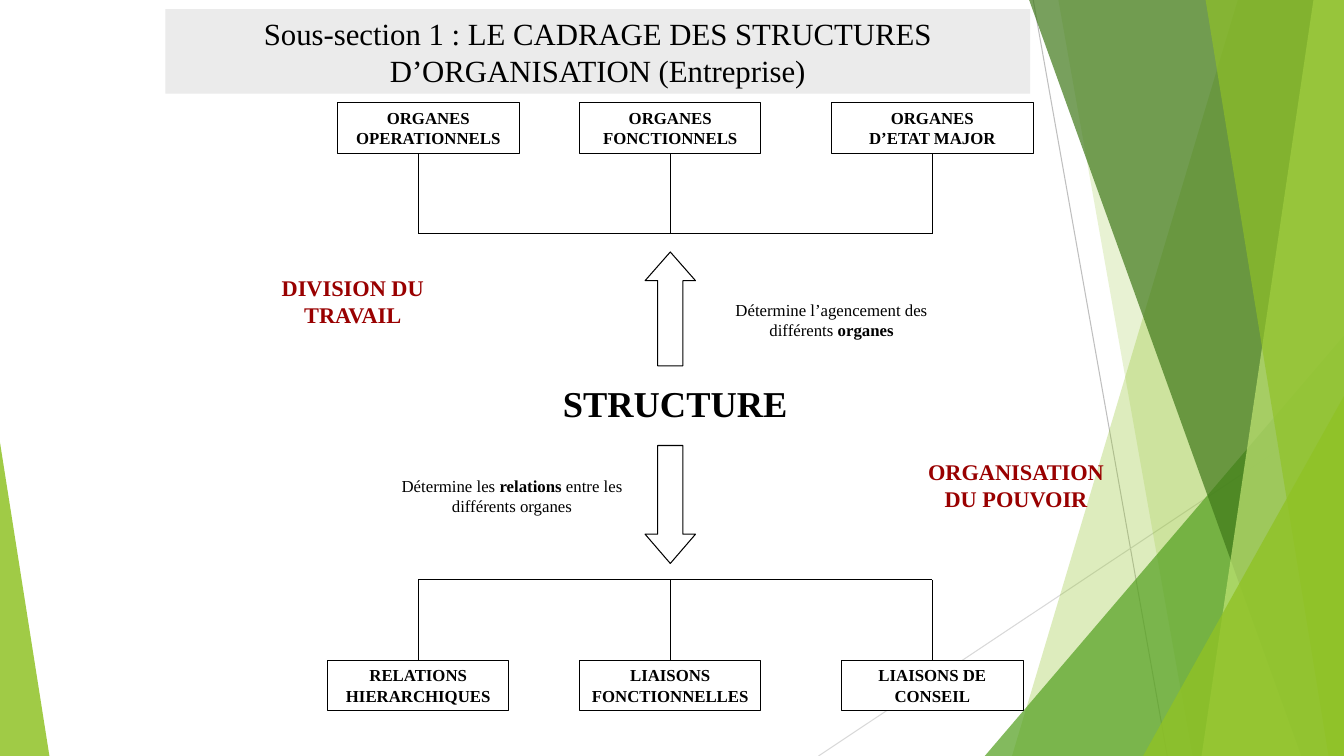
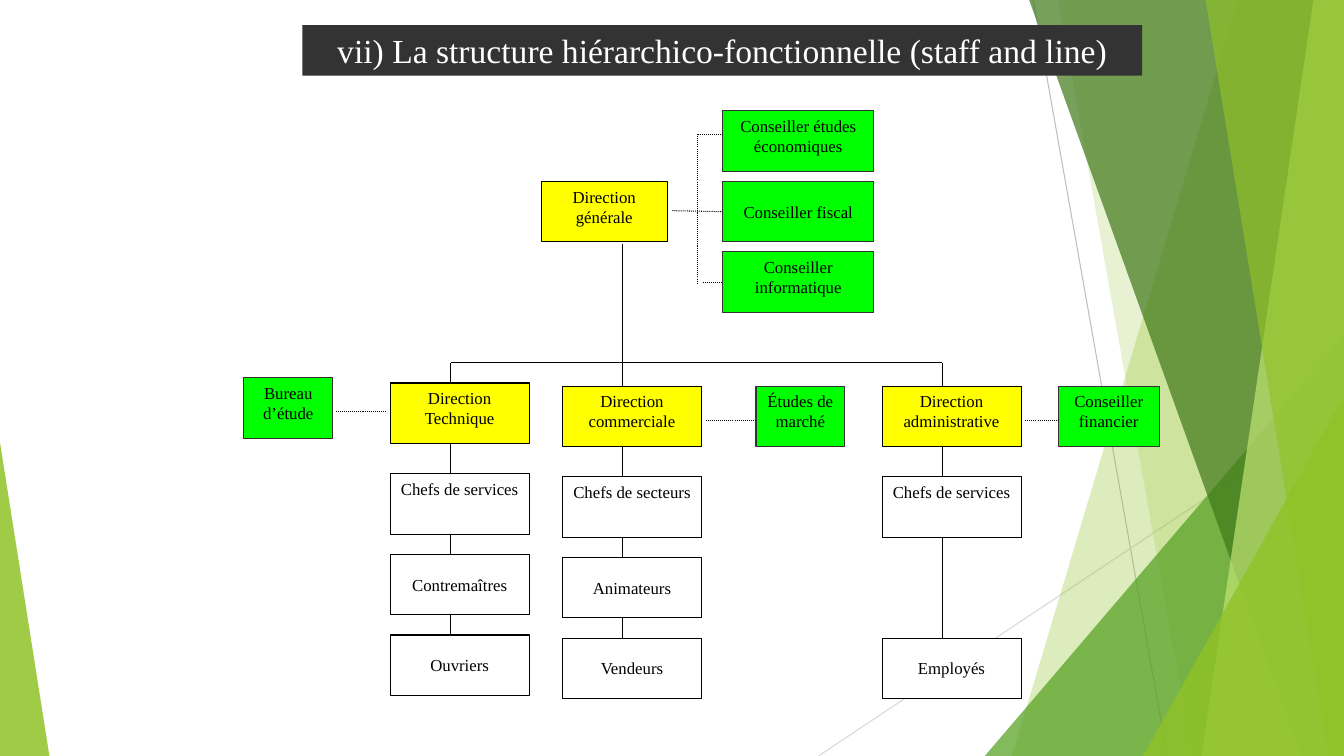
"""Two slides on organisation structures, laid out on a grid of tenth-of-an-inch cells."""
import itertools

import lxml.etree
import pptx
import pptx.dml.color
import pptx.enum.dml
import pptx.enum.shapes
import pptx.enum.text
import pptx.oxml.ns
import pptx.util

RGBColor = pptx.dml.color.RGBColor
Shapes = pptx.enum.shapes.MSO_SHAPE
Anchor = pptx.enum.text.MSO_ANCHOR

BLACK = RGBColor(0x00, 0x00, 0x00)
WHITE = RGBColor(0xFF, 0xFF, 0xFF)
CHARCOAL = RGBColor(0x33, 0x33, 0x33)
PALE_GREY = RGBColor(0xEB, 0xEB, 0xEB)
LINE_GREY = RGBColor(0xBF, 0xBF, 0xBF)
LIGHT_LINE_GREY = RGBColor(0xD9, 0xD9, 0xD9)
DARK_RED = RGBColor(0x99, 0x00, 0x00)
YELLOW = RGBColor(0xFF, 0xFF, 0x00)
BRIGHT_GREEN = RGBColor(0x00, 0xFF, 0x00)
LIME = RGBColor(0x90, 0xC2, 0x26)
LEAF = RGBColor(0x54, 0xA0, 0x21)
FOREST = RGBColor(0x3F, 0x78, 0x19)
PALE_LIME = RGBColor(0xC0, 0xE4, 0x74)

FONT = "Times New Roman"
CELL = pptx.util.Inches(0.1)
COLUMNS, ROWS = 133.33, 75
THIN = pptx.util.Pt(0.75)
JOIN_TOLERANCE = 0.2 * CELL
DOTTED = pptx.enum.dml.MSO_LINE.ROUND_DOT
LEVELS = (0, 9, 17, 25)
BOX_HEIGHT = 6
DEPARTMENT_WIDTH = 13.8
SPINE_OFFSET = 6
TRUNK_ROW = 36


def cells(*values):
    """Turn grid positions into lengths."""
    return [round(value * CELL) for value in values]


def paint(shape, fill, line=None, opacity=100):
    """Give a shape its fill, opacity and outline, without shadow."""
    shape.shadow.inherit = False
    shape.fill.solid()
    shape.fill.fore_color.rgb = fill
    if opacity < 100:
        color = shape.element.spPr.find(".//" + pptx.oxml.ns.qn("a:srgbClr"))
        alpha = lxml.etree.SubElement(color, pptx.oxml.ns.qn("a:alpha"))
        alpha.set("val", str(opacity * 1000))
    if line is None:
        shape.line.fill.background()
    else:
        shape.line.color.rgb = line
        shape.line.width = THIN


def format_text(shape, size, color=BLACK, bold=None, anchor=Anchor.TOP):
    """Centre and style all the text of a shape."""
    frame = shape.text_frame
    frame.word_wrap = True
    frame.auto_size = pptx.enum.text.MSO_AUTO_SIZE.NONE
    frame.vertical_anchor = anchor
    for paragraph in frame.paragraphs:
        paragraph.alignment = pptx.enum.text.PP_ALIGN.CENTER
        for run in paragraph.runs:
            run.font.name = FONT
            run.font.size = pptx.util.Pt(size)
            run.font.color.rgb = color
            if bold is not None:
                run.font.bold = bold


def add_box(slide, area, text, fill=WHITE, line=BLACK, size=12, bold=False, anchor=Anchor.TOP):
    """Add a rectangle with centred text."""
    box = slide.shapes.add_shape(Shapes.RECTANGLE, *cells(*area))
    paint(box, fill, line)
    box.text_frame.text = text
    format_text(box, size, bold=bold, anchor=anchor)


def add_label(slide, area, text):
    """Add a large red label."""
    label = slide.shapes.add_textbox(*cells(*area))
    label.text_frame.text = text
    format_text(label, 16, DARK_RED, True)


def add_caption(slide, area, parts):
    """Add a caption in which every second part is bold."""
    caption = slide.shapes.add_textbox(*cells(*area))
    for part, bold in zip(parts, itertools.cycle((False, True))):
        run = caption.text_frame.paragraphs[0].add_run()
        run.text = part
        run.font.bold = bold
    format_text(caption, 12)


def add_arrow(slide, kind, top, height, head):
    """Add a block arrow on the central axis."""
    arrow = slide.shapes.add_shape(kind, *cells(64, top, 5, height))
    arrow.adjustments[1] = head
    paint(arrow, WHITE, BLACK)


def side_middles(shape):
    """List the middles of a rectangle's sides in connection order."""
    center, middle = shape.left + shape.width / 2, shape.top + shape.height / 2
    return ((center, shape.top), (shape.left, middle),
            (center, shape.top + shape.height), (shape.left + shape.width, middle))


def join_ends(slide, connector):
    """Join the ends that lie at the middle of a rectangle's side."""
    ends = ((connector.begin_x, connector.begin_y, connector.begin_connect),
            (connector.end_x, connector.end_y, connector.end_connect))
    for shape in slide.shapes:
        if shape.shape_type != pptx.enum.shapes.MSO_SHAPE_TYPE.AUTO_SHAPE:
            continue
        for site, (site_x, site_y) in enumerate(side_middles(shape)):
            for x, y, connect in ends:
                if max(abs(x - site_x), abs(y - site_y)) < JOIN_TOLERANCE:
                    connect(shape, site)


def add_line(slide, start, end, color=BLACK, dash=None):
    """Add a thin straight connector between two grid points."""
    connector = slide.shapes.add_connector(
        pptx.enum.shapes.MSO_CONNECTOR.STRAIGHT, *cells(*start, *end))
    connector.line.color.rgb = color
    connector.line.width = THIN
    if dash is not None:
        connector.line.dash_style = dash
    lxml.etree.SubElement(connector.element.spPr, pptx.oxml.ns.qn("a:effectLst"))
    join_ends(slide, connector)


def add_band(slide, top_column, bottom_column, color, opacity):
    """Add a slanted band that reaches the right edge."""
    corners = [cells(*corner) for corner in (
        (top_column, 0), (COLUMNS, 0), (COLUMNS, ROWS), (bottom_column, ROWS))]
    builder = slide.shapes.build_freeform(*corners[0], scale=1.0)
    builder.add_line_segments(corners[1:], close=True)
    paint(builder.convert_to_shape(), color, opacity=opacity)


def add_corner(slide, left, right, top, apex, color, opacity):
    """Add a triangle that stands on the bottom edge."""
    area = cells(left, top, right - left, ROWS - top)
    corner = slide.shapes.add_shape(Shapes.ISOSCELES_TRIANGLE, *area)
    corner.adjustments[0] = apex
    paint(corner, color, opacity=opacity)


def add_backdrop(slide):
    """Draw the shared decoration and move it to the slide's layout."""
    layout = slide.slide_layout
    for placeholder in list(layout.placeholders):
        if placeholder.placeholder_format.type != pptx.enum.shapes.PP_PLACEHOLDER.TITLE:
            layout.shapes.element.remove(placeholder.element)
    add_line(slide, (102.5, 0), (115.8, ROWS), LINE_GREY)
    add_line(slide, (COLUMNS, 40.3), (81.2, ROWS), LIGHT_LINE_GREY)
    add_band(slide, 122.8, 100.4, LIME, 30)
    add_band(slide, 105, 118.3, LIME, 20)
    add_corner(slide, 97.7, COLUMNS, 33.3, 1, LEAF, 72)
    add_band(slide, 102.1, 129.1, FOREST, 70)
    add_band(slide, 130.3, 119.2, PALE_LIME, 70)
    add_band(slide, 119.6, 131.8, LIME, 65)
    add_corner(slide, 113.4, COLUMNS, 39.3, 1, LIME, 80)
    add_corner(slide, 0, 4.9, 43.9, 0, LIME, 85)
    for shape in list(slide.shapes):
        if not shape.is_placeholder:
            layout.shapes.element.append(shape.element)


def set_title(slide, area, text, size, fill, color):
    """Turn the title placeholder into a filled band."""
    title = slide.shapes.title
    title.left, title.top, title.width, title.height = cells(*area)
    title.fill.solid()
    title.fill.fore_color.rgb = fill
    title.text_frame.text = text
    format_text(title, size, color, anchor=Anchor.MIDDLE)


def add_fork(slide, trunk_row, box_row):
    """Link three boxes to a horizontal trunk."""
    branches = (41.5, 66.5, 92.5)
    for column in branches:
        add_line(slide, (column, trunk_row), (column, box_row))
    add_line(slide, (branches[0], trunk_row), (branches[-1], trunk_row))


def build_framework(slide):
    """Build the slide on the framework of structures."""
    set_title(slide, (16.4, 0.9, 85.8, 8.4),
              "Sous-section 1 : LE CADRAGE DES STRUCTURES D’ORGANISATION (Entreprise)",
              22, PALE_GREY, BLACK)
    for left, top, width, text in (
            (33.5, 10.2, 18, "ORGANES\nOPERATIONNELS"),
            (57.5, 10.2, 18, "ORGANES\nFONCTIONNELS"),
            (82.5, 10.2, 20, "ORGANES\nD’ETAT MAJOR"),
            (32.5, 65.5, 18, "RELATIONS HIERARCHIQUES"),
            (57.5, 65.5, 18, "LIAISONS FONCTIONNELLES"),
            (83.5, 65.5, 18, "LIAISONS DE\nCONSEIL")):
        add_box(slide, (left, top, width, 5), text, bold=True)
    add_box(slide, (54, 37.3, 26, 6), "STRUCTURE", line=None, size=26, bold=True)
    add_fork(slide, 23.2, 15.2)
    add_fork(slide, 57.5, 65.5)
    add_arrow(slide, Shapes.UP_ARROW, 25, 11.3, 0.57)
    add_arrow(slide, Shapes.DOWN_ARROW, 44.2, 11.7, 0.58)
    add_caption(slide, (38.3, 46.7, 25, 5),
                ("Détermine les ", "relations", " entre les différents organes"))
    add_caption(slide, (70, 29.2, 25, 5),
                ("Détermine l’agencement des différents ", "organes"))
    add_label(slide, (90.8, 45, 20, 6.4), "ORGANISATION DU POUVOIR")
    add_label(slide, (25, 26.7, 20, 6.4), "DIVISION DU TRAVAIL")


def add_department(slide, left, top, labels):
    """Add a department's boxes, one per level, linked by a spine."""
    spine = left + SPINE_OFFSET
    tops = []
    for level, label in enumerate(labels):
        if label:
            tops.append(top + LEVELS[level])
            add_box(slide, (left, tops[-1], DEPARTMENT_WIDTH, BOX_HEIGHT), label,
                    fill=WHITE if level else YELLOW,
                    anchor=Anchor.MIDDLE if level > 1 else Anchor.TOP)
    for upper, lower in itertools.pairwise(tops):
        add_line(slide, (spine, upper + BOX_HEIGHT), (spine, lower))
    add_line(slide, (spine, TRUNK_ROW), (spine, top))
    return spine


def build_staff_and_line(slide):
    """Build the staff and line organisation chart."""
    set_title(slide, (30, 2.5, 83.3, 5),
              "vii) La structure hiérarchico-fonctionnelle (staff and line)",
              24, CHARCOAL, WHITE)
    add_box(slide, (53.7, 18, 12.5, BOX_HEIGHT), "Direction\ngénérale", YELLOW)
    spines = [add_department(slide, *department) for department in (
        (38.7, 38, ("Direction Technique", "Chefs de services", "Contremaîtres", "Ouvriers")),
        (55.8, 38.3, ("Direction commerciale", "Chefs de secteurs", "Animateurs", "Vendeurs")),
        (87.5, 38.3, ("Direction administrative", "Chefs de services", None, "Employés")))]
    add_line(slide, (spines[0], TRUNK_ROW), (spines[-1], TRUNK_ROW))
    add_line(slide, (spines[1], 24.2), (spines[1], TRUNK_ROW))
    for left, top, width, text, anchor in (
            (71.7, 11, 15, "Conseiller études économiques", Anchor.TOP),
            (71.7, 18, 15, "Conseiller fiscal", Anchor.MIDDLE),
            (71.7, 25, 15, "Conseiller informatique", Anchor.TOP),
            (24.2, 37.5, 8.8, "Bureau d’étude", Anchor.TOP),
            (75, 38.3, 8.8, "Études de marché", Anchor.TOP),
            (105, 38.3, 10, "Conseiller financier", Anchor.TOP)):
        add_box(slide, (left, top, width, BOX_HEIGHT), text, BRIGHT_GREEN, CHARCOAL, anchor=anchor)
    for start, end in (
            ((69.2, 13.3), (69.2, 28.2)), ((69.2, 13.3), (71.7, 13.3)),
            ((66.7, 20.9), (71.7, 20.9)), ((69.7, 28), (71.7, 28)),
            ((33.3, 40.8), (38.4, 40.8)), ((70, 41.7), (75, 41.7)),
            ((101.7, 41.7), (105, 41.7))):
        add_line(slide, start, end, dash=DOTTED)


def main():
    """Build and save the presentation."""
    presentation = pptx.Presentation()
    presentation.slide_width, presentation.slide_height = cells(COLUMNS, ROWS)
    layout = presentation.slide_layouts.get_by_name("Title Only")
    framework = presentation.slides.add_slide(layout)
    add_backdrop(framework)
    build_framework(framework)
    build_staff_and_line(presentation.slides.add_slide(layout))
    presentation.save("out.pptx")


if __name__ == "__main__":
    main()
